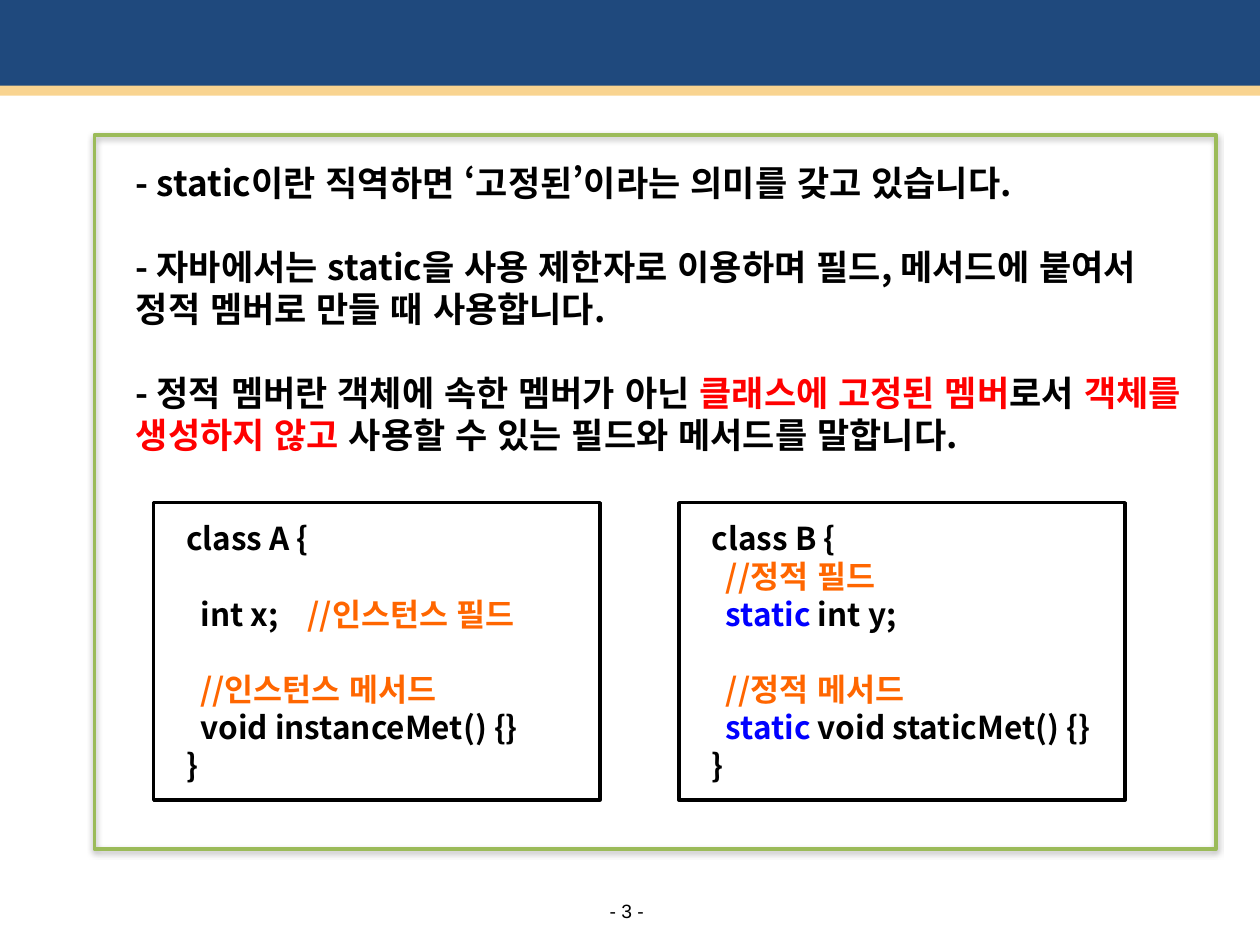
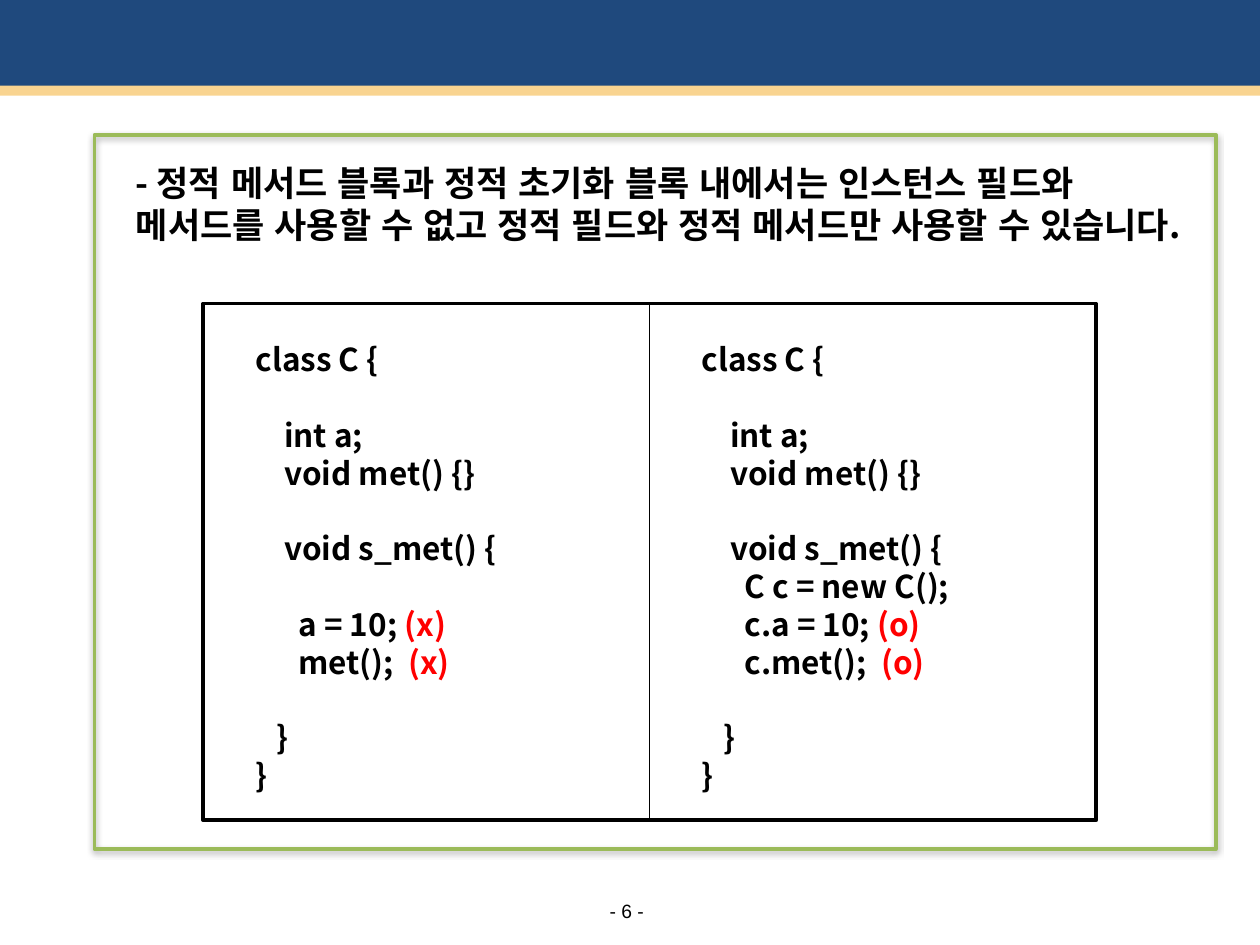
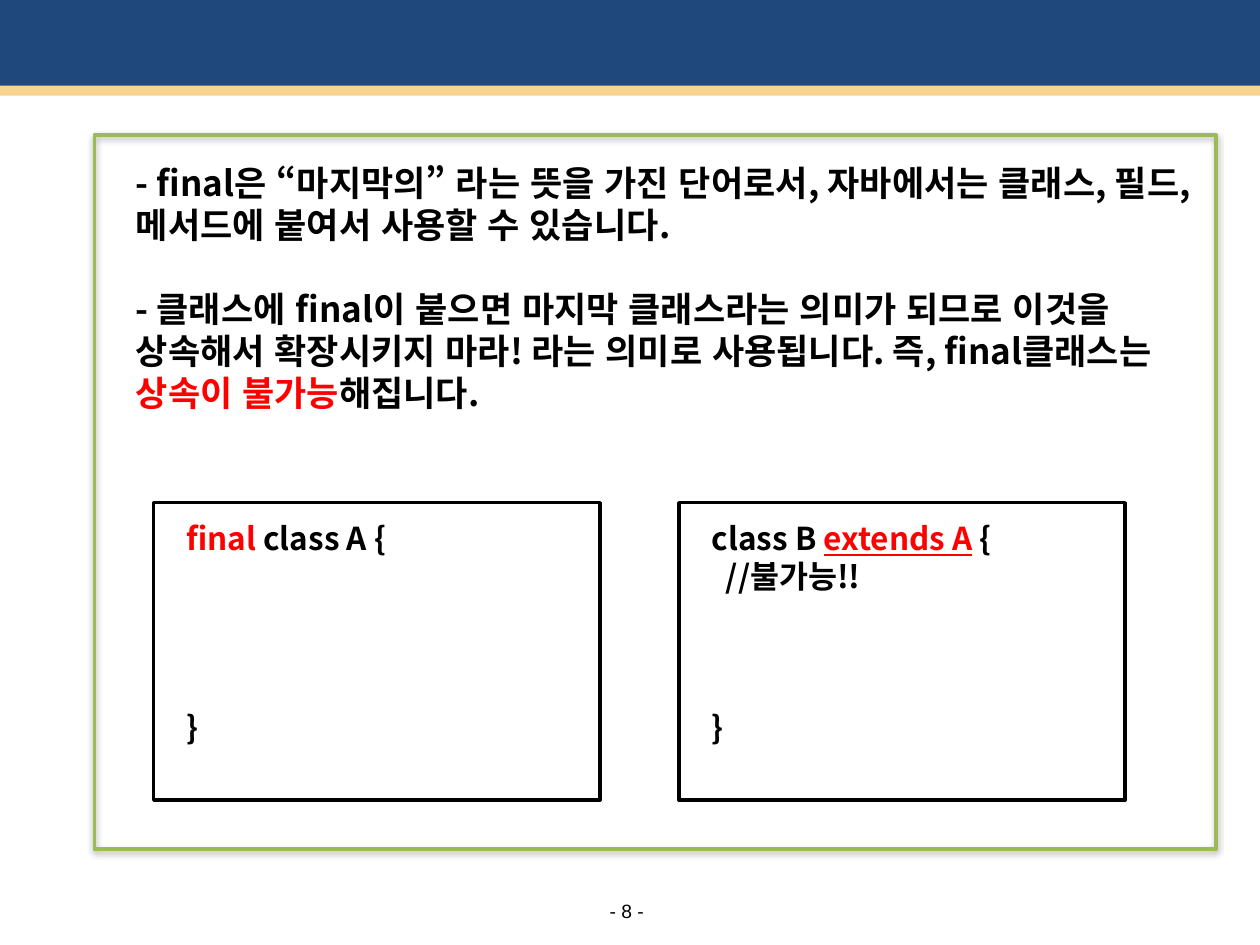
"""Build three lesson slides on static and final members."""
from dataclasses import dataclass
from typing import NamedTuple

import pptx
import pptx.dml.color
import pptx.enum.lang
import pptx.enum.shapes
import pptx.enum.text
import pptx.oxml
import pptx.oxml.ns
import pptx.util
from pptx.util import Inches

INKS = {
    "navy": "1F497D", "sand": "F9D490", "green": "9BBB59", "black": "000000",
    "red": "FF0000", "orange": "FF6600", "blue": "0000FF",
}
NS = pptx.oxml.ns.nsdecls("a")
KINDS = pptx.enum.shapes.MSO_SHAPE
LEAD = 1.2


class Area(NamedTuple):
    left: float
    top: float
    width: float
    height: float


class Bit(NamedTuple):
    text: str
    ink: str = "black"
    under: bool = False


Line = list[Bit]


@dataclass(frozen=True)
class Style:
    font: str
    size: float
    bold: bool = True


@dataclass(frozen=True)
class Panel:
    area: Area
    lines: list[Line]


@dataclass(frozen=True)
class Page:
    number: int
    prose: list[Line]
    boxes: list[Area]
    panels: list[Panel]
    split: bool = False


PROSE = Style("Noto Sans CJK KR", 20)
CODE = Style("Noto Sans CJK KR", 18)
FOOT = Style("Arial", 11, bold=False)

BANDS = [(Area(0, -0.03, 10, 0.76), "navy"), (Area(0, 0.68, 10, 0.08), "sand")]
FRAME = Area(0.75, 1.07, 8.9, 5.67)
PAIR = [Area(1.22 + 4.17 * i, 3.99, 3.54, 2.36) for i in range(2)]
WIDE = Area(1.61, 2.41, 7.09, 4.1)


def color(ink: str) -> pptx.dml.color.RGBColor:
    return pptx.dml.color.RGBColor.from_string(INKS[ink])


def plain(*texts: str) -> list[Line]:
    return [[Bit(text)] if text else [] for text in texts]


def pair(*codes: list[Line]) -> list[Panel]:
    return [Panel(Area(box.left + 0.16, box.top + 0.08, 3.23, 2.2), code)
            for box, code in zip(PAIR, codes)]


def class_c(*body: Line) -> list[Line]:
    return (plain("class C {", "", "    int a;", "    void met() {}", "", "    void s_met() {")
            + list(body) + plain("", "   }", "}"))


def place(area: Area) -> list[int]:
    return [Inches(side) for side in area]


def draw(slide, area: Area, kind, fill: str = "", edge: str = ""):
    shape = slide.shapes.add_shape(kind, *place(area))
    shape.shadow.inherit = False
    if fill:
        shape.fill.solid()
        shape.fill.fore_color.rgb = color(fill)
    else:
        shape.fill.background()
    if edge:
        shape.line.color.rgb = color(edge)
        shape.line.width = pptx.util.Pt(2)
    else:
        shape.line.fill.background()
    return shape


def write(slide, area: Area, lines: list[Line], style: Style):
    frame = slide.shapes.add_textbox(*place(area)).text_frame
    frame.word_wrap = True
    para, gap = None, 0
    for line in lines:
        if not line:
            gap += 1
            continue
        para = frame.add_paragraph() if para else frame.paragraphs[0]
        if gap:
            para.space_before = pptx.util.Pt(gap * style.size * LEAD)
        gap = 0
        for bit in line:
            run = para.add_run()
            run.text = bit.text
            font = run.font
            font.name, font.size, font.bold = style.font, pptx.util.Pt(style.size), style.bold
            font.language_id = pptx.enum.lang.MSO_LANGUAGE_ID.KOREAN
            font.color.rgb = color(bit.ink)
            if bit.under:
                font.underline = True
            run._r.get_or_add_rPr().append(
                pptx.oxml.parse_xml(f'<a:ea {NS} typeface="{style.font}"/>'))
    return frame


def add_foot(slide, number: int) -> None:
    frame = write(slide, Area(4.76, 7.13, 0.43, 0.19), plain(f"- {number} -"), FOOT)
    frame.word_wrap = False
    frame.margin_left = frame.margin_right = frame.margin_top = frame.margin_bottom = 0
    frame.vertical_anchor = pptx.enum.text.MSO_ANCHOR.MIDDLE
    frame.paragraphs[0].alignment = pptx.enum.text.PP_ALIGN.CENTER


def add_frame(slide) -> None:
    shape = draw(slide, FRAME, KINDS.FLOWCHART_PROCESS, edge="green")
    glow = shape._element.spPr.find(pptx.oxml.ns.qn("a:effectLst"))
    glow.append(pptx.oxml.parse_xml(
        f'<a:outerShdw {NS} blurRad="40000" dist="23000" dir="5400000" rotWithShape="0">'
        f'<a:srgbClr val="{INKS["black"]}"><a:alpha val="35000"/></a:srgbClr></a:outerShdw>'))


def add_split(slide, box) -> None:
    link = slide.shapes.add_connector(pptx.enum.shapes.MSO_CONNECTOR.STRAIGHT, 0, 0, 0, 0)
    link.begin_connect(box, 0)
    link.end_connect(box, 2)
    link.line.color.rgb = color("black")
    link.line.width = pptx.util.Pt(0.75)
    link._element.spPr.append(pptx.oxml.parse_xml(f"<a:effectLst {NS}/>"))


def add_page(deck, page: Page) -> None:
    slide = deck.slides.add_slide(deck.slide_layouts[6])
    for area, fill in BANDS:
        draw(slide, area, KINDS.RECTANGLE, fill=fill)
    add_foot(slide, page.number)
    add_frame(slide)
    write(slide, Area(0.98, 1.23, 8.66, 2.42), page.prose, PROSE)
    boxes = [draw(slide, area, KINDS.FLOWCHART_PROCESS, edge="black") for area in page.boxes]
    for panel in page.panels:
        write(slide, panel.area, panel.lines, CODE)
    if page.split:
        add_split(slide, boxes[0])


PAGES = [
    Page(
        3,
        plain("- static이란 직역하면 ‘고정된’이라는 의미를 갖고 있습니다.", "",
              "- 자바에서는 static을 사용 제한자로 이용하며 필드, 메서드에 붙여서 "
              "정적 멤버로 만들 때 사용합니다.", "")
        + [[Bit("- 정적 멤버란 객체에 속한 멤버가 아닌 "), Bit("클래스에 고정된 멤버", "red"),
            Bit("로서 "), Bit("객체를 생성하지 않고", "red"),
            Bit(" 사용할 수 있는 필드와 메서드를 말합니다.")]],
        PAIR,
        pair(
            [[Bit("class A {")], [],
             [Bit("  int x;    "), Bit("//인스턴스 필드", "orange")], [],
             [Bit("  "), Bit("//인스턴스 메서드", "orange")],
             [Bit("  void instanceMet() {}")], [Bit("}")]],
            [[Bit("class B {")],
             [Bit("  "), Bit("//정적 필드", "orange")],
             [Bit("  "), Bit("static ", "blue"), Bit("int y;")], [],
             [Bit("  "), Bit("//정적 메서드", "orange")],
             [Bit("  "), Bit("static ", "blue"), Bit("void staticMet() {}")], [Bit("}")]],
        ),
    ),
    Page(
        6,
        plain("- 정적 메서드 블록과 정적 초기화 블록 내에서는 인스턴스 필드와 메서드를 "
              "사용할 수 없고 정적 필드와 정적 메서드만 사용할 수 있습니다."),
        [WIDE],
        [Panel(Area(1.93 + 3.54 * i, 2.65, 2.6, 3.69), code) for i, code in enumerate([
            class_c([],
                    [Bit("      a = 10; "), Bit("(x)", "red")],
                    [Bit("      met();  "), Bit("(x)", "red")]),
            class_c([Bit("      C c = new C();")],
                    [Bit("      c.a = 10; "), Bit("(o)", "red")],
                    [Bit("      c.met();  "), Bit("(o)", "red")]),
        ])],
        split=True,
    ),
    Page(
        8,
        plain("- final은 “마지막의” 라는 뜻을 가진 단어로서, 자바에서는 클래스, 필드, "
              "메서드에 붙여서 사용할 수 있습니다.", "")
        + [[Bit("- 클래스에 final이 붙으면 마지막 클래스라는 의미가 되므로 이것을 상속해서 "
                "확장시키지 마라! 라는 의미로 사용됩니다. 즉, final클래스는 "),
            Bit("상속이 불가능", "red"), Bit("해집니다.")]],
        PAIR,
        pair(
            [[Bit("final ", "red"), Bit("class A {")]] + plain("", "", "", "", "}"),
            [[Bit("class B "), Bit("extends A", "red", True), Bit(" {")]]
            + plain("  //불가능!!", "", "", "", "}"),
        ),
    ),
]


def main() -> None:
    deck = pptx.Presentation()
    deck.slide_width, deck.slide_height = Inches(10), Inches(7.5)
    for page in PAGES:
        add_page(deck, page)
    deck.save("out.pptx")


if __name__ == "__main__":
    main()
